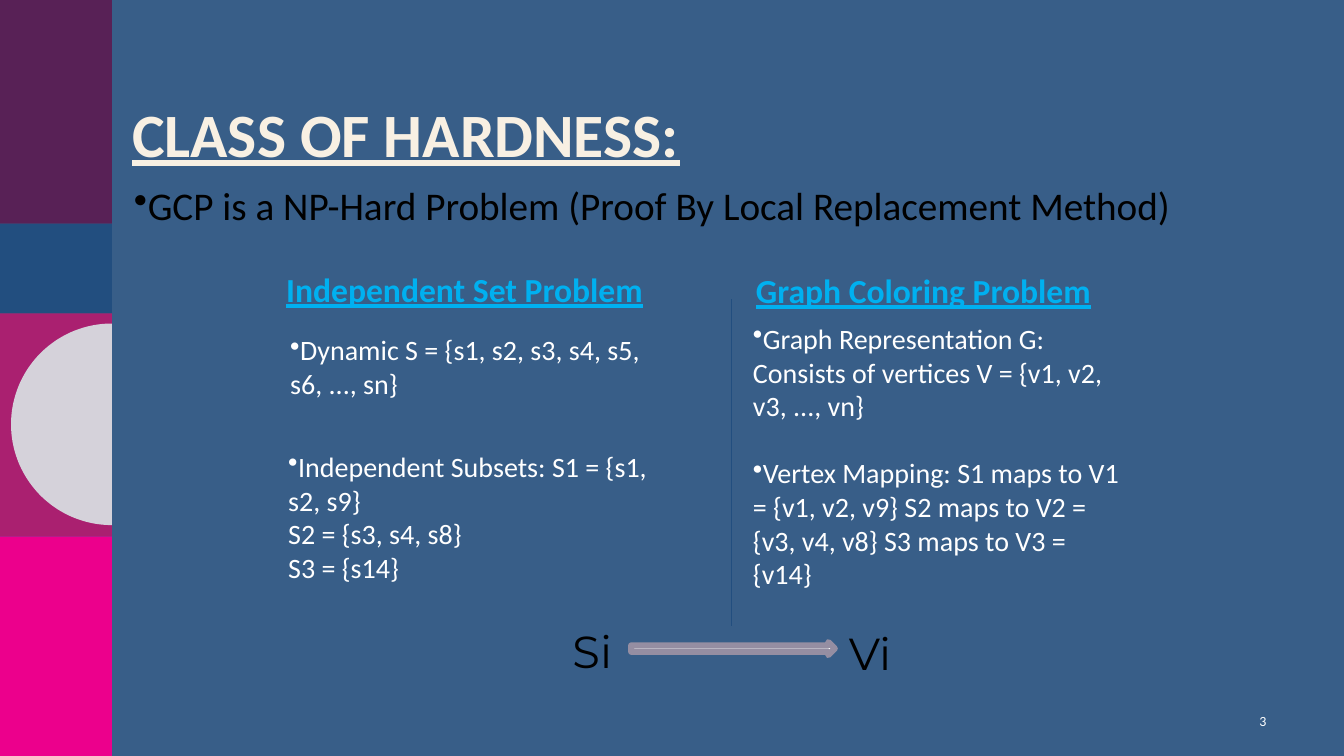
import math

from lxml import etree
from pptx import Presentation
from pptx.dml.color import RGBColor
from pptx.enum.shapes import MSO_CONNECTOR, MSO_SHAPE
from pptx.enum.text import MSO_ANCHOR, MSO_AUTO_SIZE, PP_ALIGN
from pptx.oxml.ns import qn
from pptx.util import Inches, Pt

RECTANGLE = MSO_SHAPE.RECTANGLE
RIGHT_ARROW = MSO_SHAPE.RIGHT_ARROW
STRAIGHT = MSO_CONNECTOR.STRAIGHT
TOP, MIDDLE = MSO_ANCHOR.TOP, MSO_ANCHOR.MIDDLE
LEFT, RIGHT = PP_ALIGN.LEFT, PP_ALIGN.RIGHT
NO_AUTOFIT = MSO_AUTO_SIZE.NONE

COLOURS = {
    "background": "385E88",
    "plum": "582156",
    "navy": "224E7F",
    "berry": "AA2070",
    "pink": "EC008C",
    "grey": "D5D2DA",
    "cream": "F8F0E3",
    "sky": "00B0F0",
    "white": "FFFFFF",
    "black": "000000",
    "mauve": "958EA2",
}


def colour(name):
    return RGBColor.from_string(COLOURS[name])


def paint(shape, fill):
    shape.shadow.inherit = False
    shape.fill.solid()
    shape.fill.fore_color.rgb = colour(fill)
    shape.line.fill.background()


def write(frame, paragraphs, size=20, font="Calibri", fill="white", heading=False,
          bullet=False, align=LEFT, anchor=TOP, wrap=True, gap=0, line_spacing=None):
    """Fill a text frame; headings are bold and underlined, gap is points between paragraphs."""
    frame.word_wrap = wrap
    frame.auto_size = NO_AUTOFIT
    frame.vertical_anchor = anchor
    for index, text in enumerate(paragraphs):
        paragraph = frame.add_paragraph() if index else frame.paragraphs[0]
        paragraph.text = text
        if bullet:
            properties = paragraph._p.get_or_add_pPr()
            properties.set("marL", "0")
            properties.set("indent", "0")
            etree.SubElement(properties, qn("a:buChar")).set("char", "•")
        paragraph.alignment = align
        if line_spacing:
            paragraph.line_spacing = line_spacing
        if index and gap:
            paragraph.space_before = Pt(gap)
        for run in paragraph.runs:
            run.font.size = Pt(size)
            run.font.name = font
            run.font.bold = run.font.underline = heading
            run.font.color.rgb = colour(fill)


def add_text(slide, left, top, width, height, *paragraphs, **text_format):
    box = slide.shapes.add_textbox(Inches(left), Inches(top), Inches(width), Inches(height))
    write(box.text_frame, paragraphs, **text_format)
    return box


def add_side_band(slide, left, top, width):
    """Stack the coloured blocks and the half disc along the slide's left edge."""
    blocks = [("plum", 2.22), ("navy", 0.89), ("berry", 2.21), ("pink", 2.18)]
    for name, height in blocks:
        block = slide.shapes.add_shape(RECTANGLE, Inches(left), Inches(top),
                                       Inches(width), Inches(height))
        paint(block, name)
        top += height

    radius, centre_x, centre_y = 1, left + width, 4.21
    arc = []
    for degrees in range(90, 271, 2):
        angle = math.radians(degrees)
        arc.append((Inches(centre_x + radius * math.cos(angle)),
                    Inches(centre_y + radius * math.sin(angle))))
    builder = slide.shapes.build_freeform(*arc[0])
    builder.add_line_segments(arc[1:], close=True)
    paint(builder.convert_to_shape(), "grey")


def add_heading(slide, left, top, width):
    title = slide.shapes.title
    title.left, title.top = Inches(left), Inches(top)
    title.width, title.height = Inches(width), Inches(0.92)
    write(title.text_frame, ["CLASS OF HARDNESS:"], size=44, fill="cream",
          heading=True, line_spacing=0.9)
    add_text(slide, left + 0.02, top + 0.77, 12.1, 0.57,
             "GCP is a NP-Hard Problem (Proof By Local Replacement Method)",
             size=28, fill="black", bullet=True)


def add_independent_set(slide, left, top):
    add_text(slide, left, top, 4.26, 0.5, "Independent Set Problem",
             size=24, fill="sky", heading=True, wrap=False)
    add_text(slide, left + 0.04, top + 0.63, 3.9, 0.77,
             "Dynamic S = {s1, s2, s3, s4, s5, s6, ..., sn}", bullet=True)
    add_text(slide, left + 0.02, top + 1.79, 4.1, 1.45,
             "Independent Subsets: S1 = {s1, s2, s9}\vS2 = {s3, s4, s8}\vS3 = {s14}",
             bullet=True)


def add_graph_coloring(slide, left, top):
    add_text(slide, left, top, 4.44, 0.5, "Graph Coloring Problem",
             size=24, fill="sky", heading=True)
    add_text(slide, left - 0.03, top + 0.51, 3.86, 2.79,
             "Graph Representation G: Consists of vertices V = {v1, v2, v3, ..., vn}",
             "Vertex Mapping: S1 maps to V1 = {v1, v2, v9} S2 maps to V2 = {v3, v4, v8} "
             "S3 maps to V3 = {v14}",
             bullet=True, gap=24)


def add_divider(slide, x, top, bottom):
    divider = slide.shapes.add_connector(STRAIGHT, Inches(x), Inches(top),
                                         Inches(x), Inches(bottom))
    divider.line.color.rgb = colour("navy")
    divider.line.width = Pt(0.75)
    etree.SubElement(divider._element.spPr, qn("a:effectLst"))


def add_mapping(slide, left, top):
    """Draw the arrow from Si to Vi."""
    arrow = slide.shapes.add_shape(RIGHT_ARROW, Inches(left + 0.68), Inches(top + 0.23),
                                   Inches(2.02), Inches(0.13))
    paint(arrow, "white")
    arrow.line.color.rgb = colour("mauve")
    arrow.line.width = Pt(4.33)
    for label, x, y in [("Si", left, top), ("Vi", left + 2.74, top + 0.02)]:
        add_text(slide, x, y, 0.7, 0.64, label, size=32, font="Montserrat",
                 fill="black", wrap=False)


def main():
    presentation = Presentation()
    presentation.slide_width = Inches(13.33)
    presentation.slide_height = Inches(7.5)
    slide = presentation.slides.add_slide(presentation.slide_layouts[5])
    slide.background.fill.solid()
    slide.background.fill.fore_color.rgb = colour("background")

    add_side_band(slide, 0, 0, 1.11)
    add_heading(slide, 1.21, 0.98, 11.28)
    add_independent_set(slide, 2.74, 2.62)
    add_graph_coloring(slide, 7.4, 2.63)
    add_divider(slide, 7.26, 2.97, 6.21)
    add_mapping(slide, 5.58, 6.14)
    add_text(slide, 12.16, 6.95, 0.5, 0.4, "3", size=10, align=RIGHT, anchor=MIDDLE)
    presentation.save("out.pptx")


if __name__ == "__main__":
    main()
